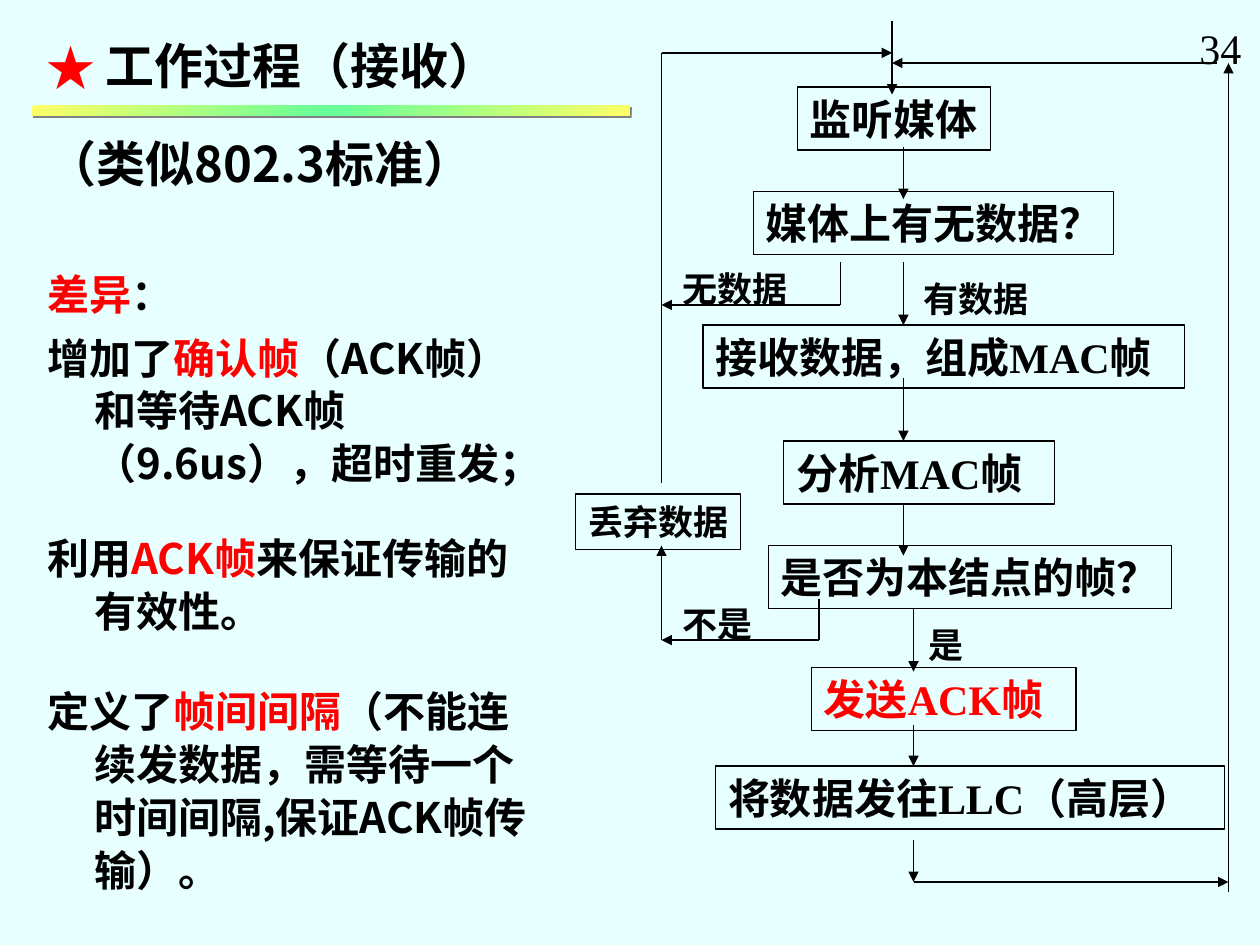
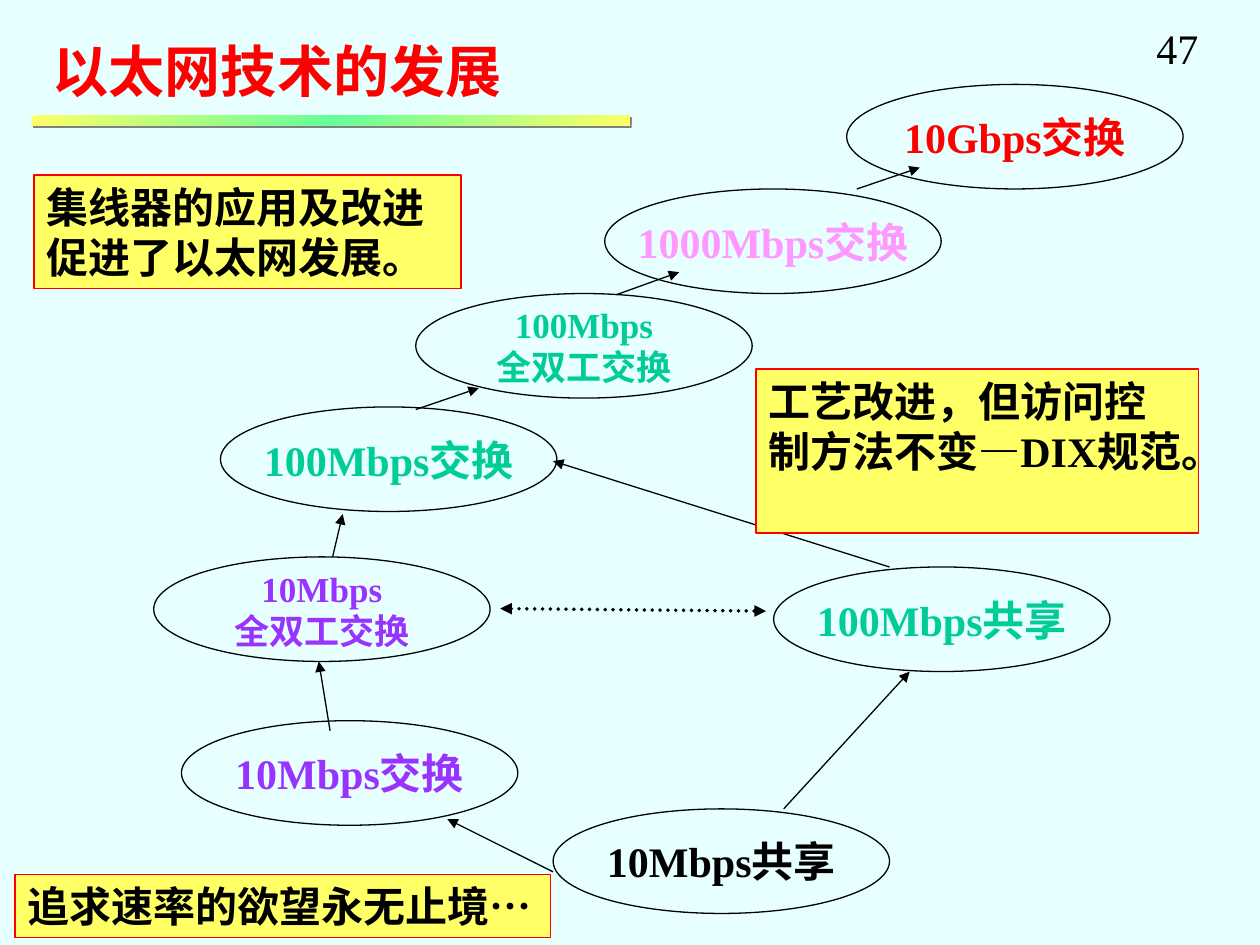
from copy import deepcopy
from dataclasses import dataclass

from lxml.etree import SubElement
from pptx import Presentation
from pptx.dml.color import RGBColor
from pptx.enum.dml import MSO_LINE
from pptx.enum.shapes import MSO_CONNECTOR, MSO_SHAPE
from pptx.enum.text import MSO_ANCHOR, MSO_AUTO_SIZE, PP_ALIGN
from pptx.oxml.ns import qn
from pptx.util import Inches, Pt


@dataclass(frozen=True)
class Theme:
    paper: str = "E7FFFF"
    ink: str = "000000"
    red: str = "FF0000"
    yellow: str = "FFFF66"
    mint: str = "66FF99"
    green: str = "00CC99"
    violet: str = "9933FF"
    pink: str = "FF99FF"
    shade: str = "808080"
    serif: str = "Times New Roman"
    sans: str = "Noto Sans CJK SC"
    small: int = 20
    text: int = 24
    head: int = 28
    title: int = 32
    thin: float = 0.75
    thick: float = 2.25
    pitch: float = 1.05


T = Theme()


def rgb(code):
    return RGBColor.from_string(code)


def sub(parent, tag, **attrs):
    return SubElement(parent, qn(tag), attrs)


def style(run, size, color=T.ink, face=T.serif, bold=True):
    font = run.font
    font.size, font.bold, font.name = Pt(size), bold, face
    font.color.rgb = rgb(color)
    east = sub(run._r.get_or_add_rPr(), "a:ea", typeface=T.sans)
    run._r.rPr.find(qn("a:latin")).addnext(east)


def write(shape, text, size, color=T.ink, wrap=False, grow=True,
          align=PP_ALIGN.LEFT, anchor=MSO_ANCHOR.TOP, **look):
    """Fill a shape with text in one style."""
    frame = shape.text_frame
    frame.text = text
    frame.word_wrap = wrap
    frame.auto_size = MSO_AUTO_SIZE.SHAPE_TO_FIT_TEXT if grow else MSO_AUTO_SIZE.NONE
    frame.vertical_anchor = anchor
    if grow and not wrap:
        frame.margin_right = 0
    for para in frame.paragraphs:
        para.alignment = align
        for run in para.runs:
            style(run, size, color, **look)


def hang(para, left, depth):
    props = para._p.get_or_add_pPr()
    props.set("marL", str(Inches(left)))
    props.set("indent", str(-Inches(depth)))
    props.set("hangingPunct", "0")
    return props


def shape(slide, kind, box, line=T.ink, fill=None):
    item = slide.shapes.add_shape(kind, *map(Inches, box))
    item.shadow.inherit = False
    if fill:
        item.fill.solid()
        item.fill.fore_color.rgb = rgb(fill)
    else:
        item.fill.background()
    item.line.color.rgb = rgb(line)
    item.line.width = Pt(T.thin)
    return item


def step(slide, text, box, size=T.text, color=T.ink):
    write(shape(slide, MSO_SHAPE.RECTANGLE, box), text, size, color)


def label(slide, text, box, size=T.small, bold=True):
    write(slide.shapes.add_textbox(*map(Inches, box)), text, size, bold=bold)


def note(slide, text, box):
    item = shape(slide, MSO_SHAPE.RECTANGLE, box, T.red, T.yellow)
    write(item, text, T.text, wrap=True)


def oval(slide, text, left, top, color):
    item = shape(slide, MSO_SHAPE.OVAL, (left, top, 2.67, 0.83))
    size = T.small if "\n" in text else T.text
    write(item, text, size, color, grow=False,
          align=PP_ALIGN.CENTER, anchor=MSO_ANCHOR.MIDDLE)


def arrow(slide, *points, double=False):
    """Join the points with lines and put an arrowhead on the last one."""
    for start, end in zip(points, points[1:]):
        line = slide.shapes.add_connector(
            MSO_CONNECTOR.STRAIGHT, *map(Inches, start + end))
        line.line.color.rgb = rgb(T.ink)
        line.line.width = Pt(T.thick if double else T.thin)
        props = line._element.spPr
        stroke = props.find(qn("a:ln"))
        if double:
            line.line.dash_style = MSO_LINE.ROUND_DOT
            stroke.set("cap", "rnd")
            sub(stroke, "a:headEnd", type="triangle")
        if end == points[-1]:
            sub(stroke, "a:tailEnd", type="triangle")
        sub(props, "a:effectLst")


def band(slide, top):
    """Gradient rule below the title, with a hard grey shadow."""
    bar = shape(slide, MSO_SHAPE.RECTANGLE, (0.25, top, 4.75, 0.08))
    bar.line.fill.background()
    bar.fill.gradient()
    bar.fill.gradient_angle = 135
    first = bar._element.spPr.find(".//" + qn("a:gs"))
    first.addnext(deepcopy(first))
    for stop, place, color in zip(bar.fill.gradient_stops, (0, 0.5, 1),
                                  (T.yellow, T.mint, T.yellow)):
        stop.position = place
        stop.color.rgb = rgb(color)
    cast = sub(bar._element.spPr.find(qn("a:effectLst")), "a:outerShdw",
               dist=str(Pt(1.4)), dir="2700000", algn="ctr", rotWithShape="0")
    sub(cast, "a:srgbClr", val=T.shade)


def begin(deck, title, box, size, color, face, rule, page, side):
    """Add a slide with its title, rule and page number."""
    slide = deck.slides.add_slide(deck.slide_layouts[5])
    head = slide.shapes.title
    head.left, head.top, head.width, head.height = map(Inches, box)
    write(head, title, size, color, wrap=True, grow=False, face=face)
    frame = head.text_frame
    frame.margin_left = frame.margin_right = Inches(0.1)
    frame.margin_top = frame.margin_bottom = Inches(0.05)
    band(slide, rule)
    label(slide, page, (side, 0.13, 0.53, 0.5), T.text, bold=False)
    return slide


def points(slide, box, rows):
    """Hanging paragraphs; each row is space before, size and coloured parts."""
    frame = slide.shapes.add_textbox(*map(Inches, box)).text_frame
    frame.word_wrap = True
    for index, (gap, size, parts) in enumerate(rows):
        para = frame.add_paragraph() if index else frame.paragraphs[0]
        hang(para, 0.38, 0.37)
        para.line_spacing = T.pitch
        if gap:
            para.space_before = Pt(gap)
        for text, color in parts:
            run = para.add_run()
            run.text = text
            style(run, size, color, T.sans)


def receive(deck):
    slide = begin(deck, "工作过程（接收）", (0.27, 0.21, 4.17, 0.55),
                  T.head, T.ink, T.sans, 0.84, "34", 9.42)
    para = slide.shapes.title.text_frame.paragraphs[0]
    props = hang(para, 0.47, 0.47)
    sub(sub(props, "a:buClr"), "a:srgbClr", val=T.red)
    sub(props, "a:buFont", typeface=T.sans)
    sub(props, "a:buChar", char="★")
    para.line_spacing = T.pitch

    # Differences from the standard
    points(slide, (0.27, 0.99, 4.17, 6.23), [
        (0, T.head, [("（类似802.3标准）", T.ink)]),
        (42, T.text, [("差异", T.red), ("：", T.ink)]),
        (6, T.text, [("增加了", T.ink), ("确认帧", T.red),
                     ("（ACK帧）和等待ACK帧（9.6us），超时重发；", T.ink)]),
        (24, T.text, [("利用", T.ink), ("ACK帧", T.red),
                      ("来保证传输的有效性。", T.ink)]),
        (27, T.text, [("定义了", T.ink), ("帧间间隔", T.red),
                      ("（不能连续发数据，需等待一个时间间隔,保证ACK帧传输）。", T.ink)]),
    ])

    # Flow chart steps
    for text, left, top, width, color in [
        ("监听媒体", 6.33, 0.69, 1.53, T.ink),
        ("媒体上有无数据？", 5.98, 1.52, 2.86, T.ink),
        ("接收数据，组成MAC帧", 5.58, 2.58, 3.82, T.ink),
        ("分析MAC帧", 6.22, 3.5, 2.15, T.ink),
        ("是否为本结点的帧？", 6.1, 4.33, 3.2, T.ink),
        ("发送ACK帧", 6.44, 5.3, 2.1, T.red),
        ("将数据发往LLC（高层）", 5.68, 6.08, 4.04, T.ink),
    ]:
        step(slide, text, (left, top, width, 0.5), color=color)
    step(slide, "丢弃数据", (4.57, 3.92, 1.31, 0.44), T.small)

    # Branch labels
    for text, left, top, width in [
        ("有数据", 7.23, 2.15, 1.03), ("无数据", 5.32, 2.07, 1.03),
        ("是", 7.27, 4.9, 0.48), ("不是", 5.32, 4.73, 0.75),
    ]:
        label(slide, text, (left, top, width, 0.44))

    # Downward arrows
    for x, top, end in [
        (7.08, 0.17, 0.75), (7.17, 1.17, 1.58), (7.17, 2.08, 2.58),
        (7.17, 3, 3.5), (7.17, 4, 4.41), (7.25, 4.83, 5.33),
        (7.25, 5.75, 6.08), (7.25, 6.67, 7),
    ]:
        arrow(slide, (x, top), (x, end))

    # Return paths
    arrow(slide, (6.67, 2.08), (6.67, 2.42), (5.25, 2.42))
    arrow(slide, (5.25, 3.83), (5.25, 0.42), (7.08, 0.42))
    arrow(slide, (6.5, 4.75), (6.5, 5.08), (5.25, 5.08))
    arrow(slide, (5.25, 5.08), (5.25, 4.33))
    arrow(slide, (7.25, 7), (9.75, 7))
    arrow(slide, (9.75, 7.08), (9.75, 0.5))
    arrow(slide, (9.66, 0.5), (7.08, 0.5))


def growth(deck):
    slide = begin(deck, "以太网技术的发展", (0.32, 0.24, 3.98, 0.64),
                  T.title, T.red, T.serif, 0.92, "47", 9.08)

    # Generations
    for text, left, top, color in [
        ("10Mbps共享", 4.39, 6.42, T.ink),
        ("10Mbps交换", 1.44, 5.72, T.violet),
        ("10Mbps\n全双工交换", 1.22, 4.42, T.violet),
        ("100Mbps交换", 1.75, 3.23, T.green),
        ("100Mbps\n全双工交换", 3.3, 2.33, T.green),
        ("1000Mbps交换", 4.8, 1.5, T.pink),
        ("100Mbps共享", 6.14, 4.5, T.green),
        ("10Gbps交换", 6.72, 0.67, T.red),
    ]:
        oval(slide, text, left, top, color)

    # Upgrades
    for start, end in [
        ((4.39, 6.92), (3.55, 6.5)), ((2.62, 5.8), (2.53, 5.25)),
        ((2.64, 4.42), (2.72, 4.08)), ((3.3, 3.25), (3.8, 3.08)),
        ((4.89, 2.34), (5.39, 2.16)), ((6.22, 6.42), (7.22, 5.33)),
        ((7.06, 4.5), (4.39, 3.66)), ((6.8, 1.5), (7.3, 1.33)),
    ]:
        arrow(slide, start, end)
    arrow(slide, (3.97, 4.83), (6.08, 4.85), double=True)

    # Remarks
    note(slide, "集线器的应用及改进\n促进了以太网发展。", (0.27, 1.39, 3.39, 0.9))
    note(slide, "工艺改进，但访问控制方法不变—DIX规范。", (6, 2.93, 3.51, 1.3))
    note(slide, "追求速率的欲望永无止境…", (0.12, 6.94, 4.25, 0.5))


def main():
    deck = Presentation()
    deck.slide_width, deck.slide_height = Inches(10), Inches(7.5)
    back = deck.slide_master.background.fill
    back.solid()
    back.fore_color.rgb = rgb(T.paper)
    receive(deck)
    growth(deck)
    deck.save("out.pptx")


if __name__ == "__main__":
    main()
